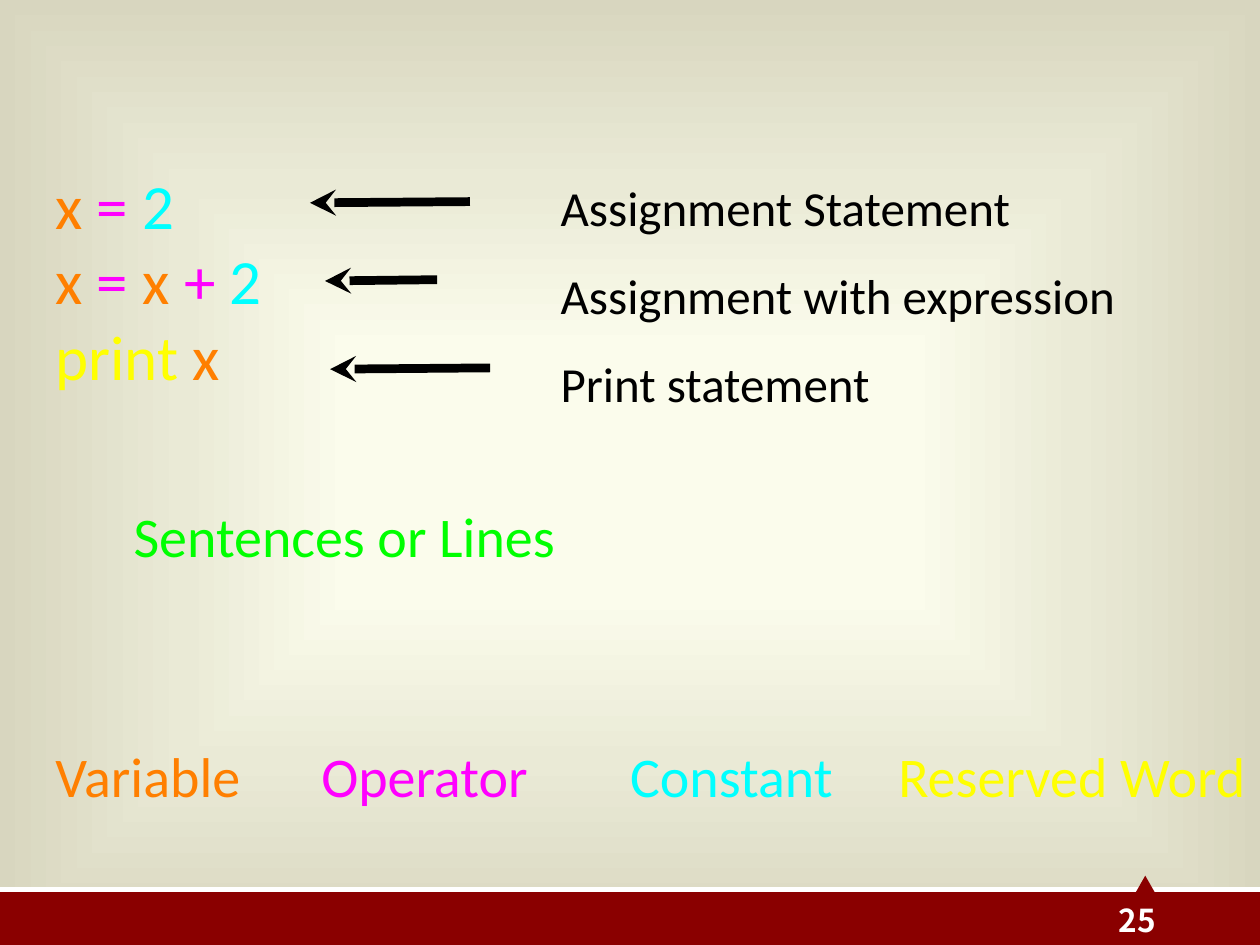
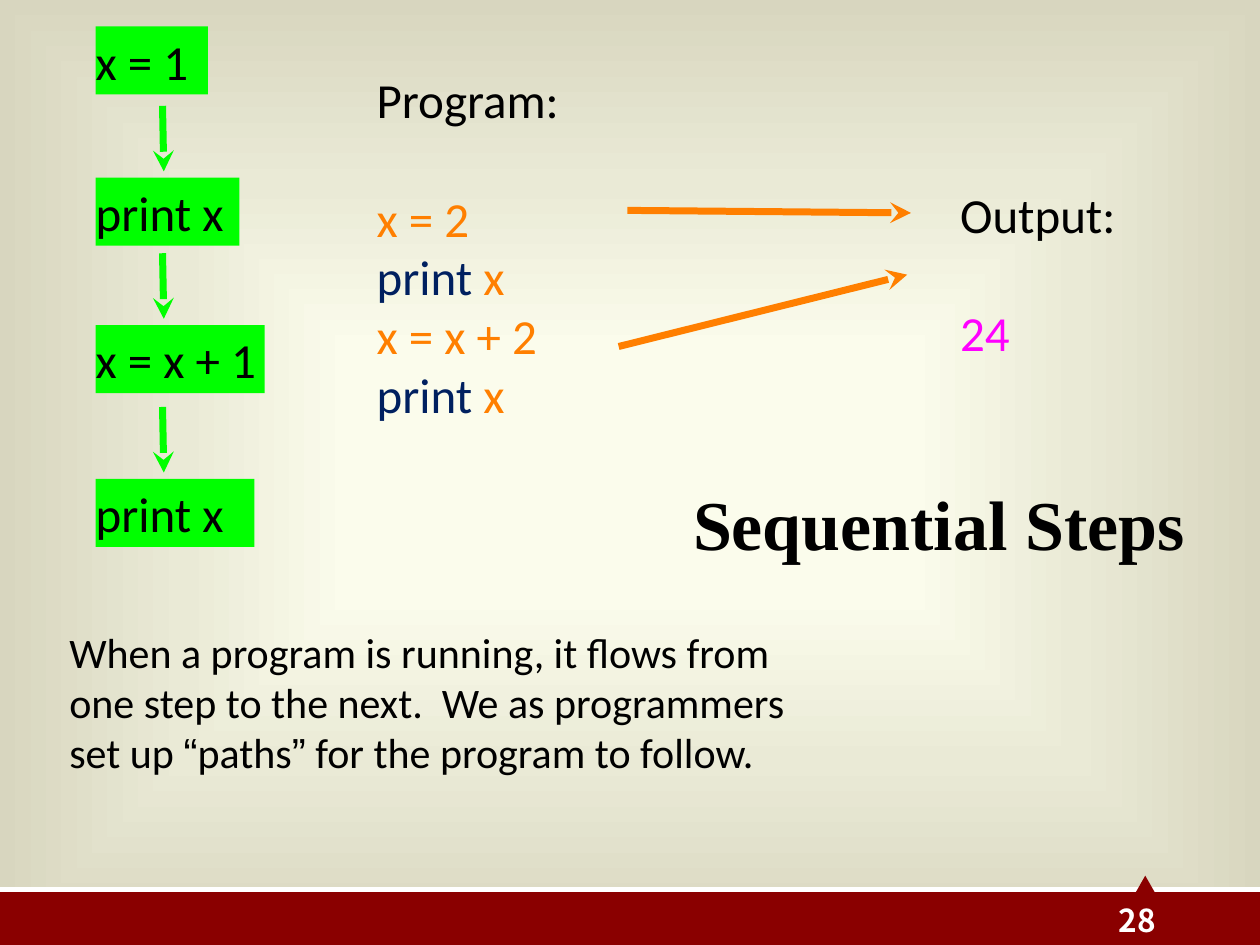
"""Build two slides on program statements and sequential steps."""
from dataclasses import dataclass
from itertools import pairwise
from typing import NamedTuple

from lxml.etree import SubElement
from pptx import Presentation
from pptx.dml.color import RGBColor
from pptx.enum.shapes import MSO_CONNECTOR as Connector, MSO_SHAPE as Preset
from pptx.enum.text import MSO_ANCHOR as Anchor, MSO_AUTO_SIZE as AutoSize, PP_ALIGN as Align
from pptx.oxml import parse_xml
from pptx.oxml.ns import nsdecls, qn
from pptx.slide import Slide
from pptx.util import Inches

from pptx.util import Pt

BLACK, WHITE, MAROON, NAVY = "000000", "FFFFFF", "8A0000", "002060"
ORANGE, MAGENTA, CYAN, YELLOW, GREEN = "FF7F00", "FF00FF", "00FFFF", "FFFF00", "00FF00"
GLOW = ((0, "FBFCEC"), (26, "FBFCEC"), (61, "EAEAD6"), (100, "D8D6BF"))
BODY_FONT, TITLE_FONT, NUMBER_FONT = "Calibri", "Times New Roman", "Noto Sans CJK SC"
SLIDE_WIDTH, SLIDE_HEIGHT, BAND_TOP = 10, 7.5, 7.06
BLANK_LINE = 34.2


class Box(NamedTuple):
    left: float
    top: float
    width: float
    height: float


class Run(NamedTuple):
    text: str
    color: str = BLACK
    font: str = ""


@dataclass(frozen=True)
class Arrow:
    start: tuple[float, float]
    tip: tuple[float, float]
    color: str
    weight: float


@dataclass(frozen=True)
class Step:
    code: str
    top: float
    width: float


@dataclass(frozen=True)
class Term:
    name: str
    color: str
    left: float
    width: float


STATEMENTS = [
    [Run("x ", ORANGE), Run("= ", MAGENTA), Run("2", CYAN)],
    [Run("x ", ORANGE), Run("=", MAGENTA), Run(" x ", ORANGE), Run("+ ", MAGENTA), Run("2", CYAN)],
    [Run("print", YELLOW), Run(" x", ORANGE)],
]
MEANINGS = ["Assignment Statement", "Assignment with expression", "Print statement"]
MEANING_ARROWS = [
    Arrow((3.73, 1.6), (2.46, 1.61), BLACK, 5),
    Arrow((3.47, 2.22), (2.58, 2.23), BLACK, 5),
    Arrow((3.89, 2.92), (2.62, 2.93), BLACK, 5),
]
TERMS = [
    Term("Variable", ORANGE, 0.44, 1.61),
    Term("Operator", MAGENTA, 2.55, 1.96),
    Term("Constant", CYAN, 5, 1.89),
    Term("Reserved Word", YELLOW, 7.13, 2.87),
]
STEPS = [
    Step("x = 1", 0.21, 0.89),
    Step("print x", 1.41, 1.14),
    Step("x = x + 1", 2.58, 1.34),
    Step("print x", 3.8, 1.26),
]
PRINT_X = [Run("print", NAVY), Run(" x", ORANGE)]
PROGRAM = [[Run("Program:")], [Run("x = 2", ORANGE)], PRINT_X, [Run("x = x + 2", ORANGE)], PRINT_X]
OUTPUT = [[Run("Output:")], [Run("24", MAGENTA)]]
OUTPUT_ARROWS = [
    Arrow((4.98, 1.67), (7.23, 1.69), ORANGE, 4),
    Arrow((4.91, 2.75), (7.2, 2.18), ORANGE, 4),
]
EXPLANATION = [[
    Run("When a program is running, it flows from one step to the next.  We as programmers set up "),
    Run("“", font="Arial"), Run("paths"), Run("”", font="Arial"),
    Run(" for the program to follow."),
]]


def rgb(color: str) -> RGBColor:
    return RGBColor.from_string(color)


def inches(box: Box) -> list[Inches]:
    return [Inches(length) for length in box]


def write(holder, paragraphs: list[list[Run]], *, size: float = 28, font: str = BODY_FONT,
          bold: bool = False, align: Align = Align.LEFT, spacing: float = 1.0,
          gap_after_first: float = 0, inset: float = 0) -> None:
    frame = holder.text_frame
    frame.word_wrap = True
    frame.auto_size = AutoSize.NONE
    frame.vertical_anchor = Anchor.MIDDLE
    frame.margin_left = frame.margin_right = Inches(inset)
    frame.margin_top = frame.margin_bottom = Inches(inset / 2)
    for index, runs in enumerate(paragraphs):
        paragraph = frame.add_paragraph() if index else frame.paragraphs[0]
        paragraph.alignment = align
        paragraph.line_spacing = spacing
        paragraph.space_before = Pt(0)
        paragraph.space_after = Pt(0 if index else gap_after_first)
        for piece in runs:
            run = paragraph.add_run()
            run.text = piece.text
            run.font.size = Pt(size)
            run.font.bold = bold
            run.font.name = piece.font or font
            run.font.color.rgb = rgb(piece.color)


def add_text(slide: Slide, box: Box, paragraphs: list[list[Run]], **text_format) -> None:
    write(slide.shapes.add_textbox(*inches(box)), paragraphs, **text_format)


def add_block(slide: Slide, preset: Preset, box: Box, color: str):
    block = slide.shapes.add_shape(preset, *inches(box))
    block.shadow.inherit = False
    block.line.fill.background()
    block.fill.solid()
    block.fill.fore_color.rgb = rgb(color)
    return block


def add_line(slide: Slide, start: tuple[float, float], end: tuple[float, float],
             color: str, weight: float):
    line = slide.shapes.add_connector(
        Connector.STRAIGHT, *(Inches(length) for length in (*start, *end)))
    line.line.color.rgb = rgb(color)
    line.line.width = Pt(weight)
    SubElement(line._element.spPr, qn("a:effectLst"))
    return line


def add_arrow(slide: Slide, arrow: Arrow) -> None:
    line = add_line(slide, arrow.start, arrow.tip, arrow.color, arrow.weight)
    SubElement(line.line._get_or_add_ln(), qn("a:tailEnd"), type="stealth")


def add_glow(slide: Slide) -> None:
    backdrop = add_block(slide, Preset.RECTANGLE, Box(0, 0, SLIDE_WIDTH, SLIDE_HEIGHT), WHITE)
    stops = "".join(f'<a:gs pos="{position * 1000}"><a:srgbClr val="{color}"/></a:gs>'
                    for position, color in GLOW)
    gradient = parse_xml(
        f'<a:gradFill {nsdecls("a")} rotWithShape="1"><a:gsLst>{stops}</a:gsLst><a:path path="rect">'
        '<a:fillToRect l="50000" t="50000" r="50000" b="50000"/></a:path></a:gradFill>')
    properties = backdrop._element.spPr
    properties.replace(properties.find(qn("a:solidFill")), gradient)


def add_slide(deck, number: int) -> Slide:
    slide = deck.slides.add_slide(deck.slide_layouts.get_by_name("Title Only"))
    add_glow(slide)
    add_block(slide, Preset.RECTANGLE,
              Box(0, BAND_TOP, SLIDE_WIDTH, SLIDE_HEIGHT - BAND_TOP), MAROON)
    add_line(slide, (0, BAND_TOP), (SLIDE_WIDTH, BAND_TOP), WHITE, 3)
    add_block(slide, Preset.ISOSCELES_TRIANGLE, Box(9.01, 6.95, 0.16, 0.14), MAROON)
    add_text(slide, Box(7.02, 7.1, 2.25, 0.4), [[Run(str(number), WHITE)]],
             size=18, font=NUMBER_FONT, bold=True, align=Align.RIGHT, inset=0.1)
    return slide


def set_title(slide: Slide, box: Box, title: Run, **text_format) -> None:
    heading = slide.shapes.title
    heading.left, heading.top, heading.width, heading.height = inches(box)
    write(heading, [[title]], inset=0.1, **text_format)
    slide.shapes._spTree.append(heading._element)


def build_sentences(deck) -> None:
    slide = add_slide(deck, 25)
    set_title(slide, Box(0.96, 3.68, 3.65, 1.2), Run("Sentences or Lines", GREEN),
              size=32, spacing=0.9)
    add_text(slide, Box(0.44, 1.31, 2.5, 1.82), STATEMENTS, size=36)
    for term in TERMS:
        add_text(slide, Box(term.left, 5.88, term.width, 0.54),
                 [[Run(term.name, term.color)]], size=32)
    add_text(slide, Box(4.45, 1.2, 5.4, 2.05), [[Run(meaning)] for meaning in MEANINGS], spacing=1.5)
    for arrow in MEANING_ARROWS:
        add_arrow(slide, arrow)


def build_steps(deck) -> None:
    slide = add_slide(deck, 28)
    add_text(slide, Box(2.99, 0.54, 1.57, 2.83), PROGRAM, gap_after_first=BLANK_LINE)
    add_text(slide, Box(7.62, 1.46, 1.25, 1.41), OUTPUT, gap_after_first=BLANK_LINE)
    for step in STEPS:
        block = add_block(slide, Preset.RECTANGLE, Box(0.76, step.top, step.width, 0.54), GREEN)
        write(block, [[Run(step.code)]])
    for _, following in pairwise(STEPS):
        tip = following.top - 0.05
        add_arrow(slide, Arrow((1.29, tip - 0.52), (1.3, tip), GREEN, 4))
    for arrow in OUTPUT_ARROWS:
        add_arrow(slide, arrow)
    add_text(slide, Box(0.55, 5.07, 5.83, 1), EXPLANATION, size=24)
    set_title(slide, Box(5.4, 3.42, 4.43, 1.45), Run("Sequential Steps"),
              size=40, font=TITLE_FONT, bold=True)


def main() -> None:
    deck = Presentation()
    deck.slide_width, deck.slide_height = Inches(SLIDE_WIDTH), Inches(SLIDE_HEIGHT)
    build_sentences(deck)
    build_steps(deck)
    deck.save("out.pptx")


if __name__ == "__main__":
    main()
